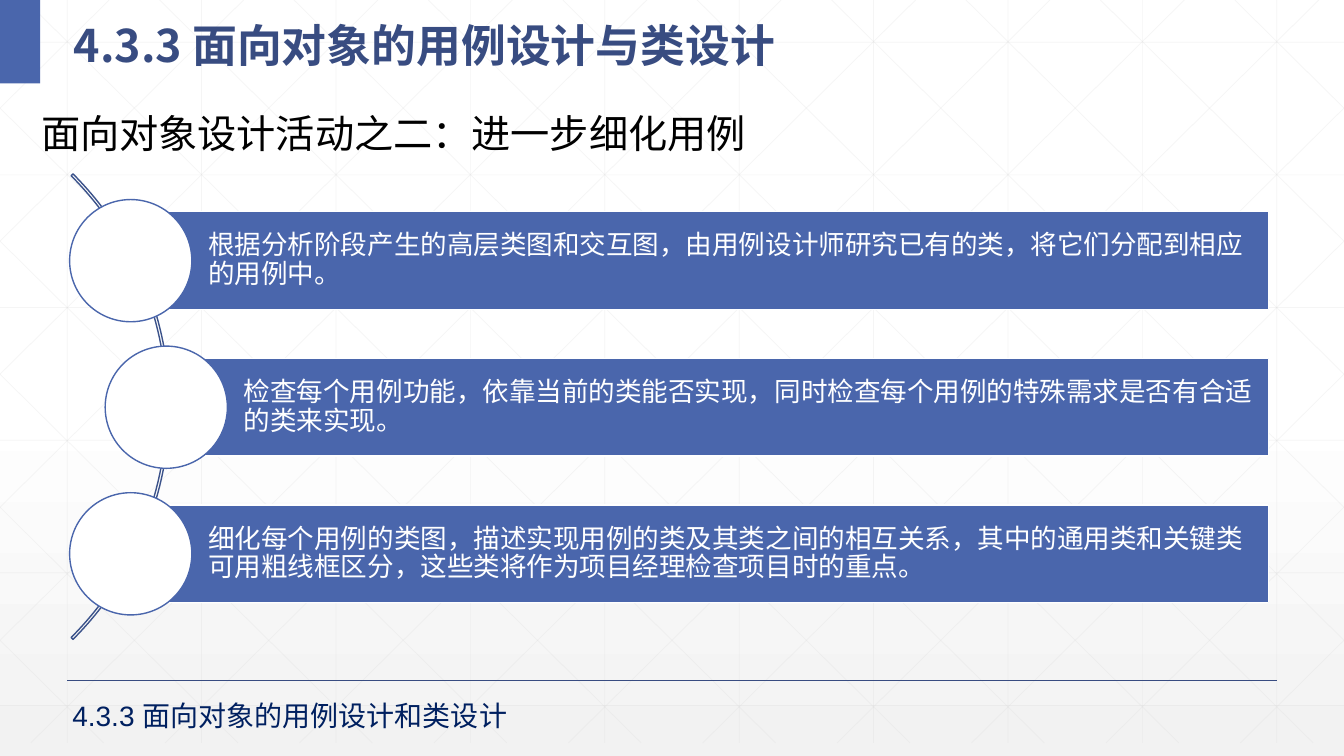
from dataclasses import dataclass

from lxml import etree
from pptx import Presentation
from pptx import util as u
from pptx.dml.color import RGBColor
from pptx.enum import lang, shapes, text
from pptx.oxml.ns import qn


@dataclass(frozen=True)
class Theme:
    blue: str = "4A66AC"
    title: str = "384C81"
    arc: str = "3B528A"
    footer: str = "002060"
    black: str = "000000"
    white: str = "FFFFFF"
    shade: str = "F2F2F2"
    grid: str = "D9D9D9"
    heading_font: str = "Noto Sans CJK SC"
    text_font: str = "Arial"
    title_size: float = 32
    subtitle_size: float = 28
    footer_size: float = 20
    step_size: float = 19


@dataclass(frozen=True)
class Area:
    left: float
    top: float
    width: float
    height: float

    def lengths(self) -> list[u.Length]:
        return [u.Pt(value) for value in (self.left, self.top, self.width, self.height)]


@dataclass(frozen=True)
class Step:
    indent: float
    words: str


THEME = Theme()
WIDTH, HEIGHT = 960, 540
GRID_BOTTOM, GRID_STEP, ROW_TOP, ROW_STEP = 530.6, 96, 30.2, 94.75
SLOPE = 0.99
FIRST_BAR_TOP, BAR_STEP, BAR_HEIGHT, BAR_RIGHT = 151.3, 104.7, 69.8, 906.3
CIRCLE = 87.3

STEPS = [
    Step(93.4, "根据分析阶段产生的高层类图和交互图，由用例设计师研究已有的类，将它们分配到相应的用例中。"),
    Step(118.8, "检查每个用例功能，依靠当前的类能否实现，同时检查每个用例的特殊需求是否有合适的类来实现。"),
    Step(93.4, "细化每个用例的类图，描述实现用例的类及其类之间的相互关系，其中的通用类和关键类可用粗线框区分，这些类将作为项目经理检查项目时的重点。"),
]


def apply(target, formats: dict) -> None:
    for name, value in formats.items():
        setattr(target, name, value)


def write(box, words: str, size: float, color: str, font: str = THEME.text_font,
          bold: bool = False, spacing: float = 1.0, **frame) -> None:
    apply(box.text_frame, frame)
    para = box.text_frame.paragraphs[0]
    apply(para, {"alignment": text.PP_ALIGN.LEFT, "line_spacing": spacing})
    span = para.add_run()
    span.text = words
    apply(span.font, {"size": u.Pt(size), "name": font, "bold": bold,
                      "language_id": lang.MSO_LANGUAGE_ID.SIMPLIFIED_CHINESE})
    span.font.color.rgb = RGBColor.from_string(color)
    latin = span.font._element.find(qn("a:latin"))
    east_asian = etree.Element(qn("a:ea"), typeface=THEME.heading_font)
    latin.addnext(east_asian)


def draw_line(page, start: tuple[float, float], end: tuple[float, float],
              color: str, weight: float, opacity: int = 100) -> None:
    line = page.shapes.add_connector(
        shapes.MSO_CONNECTOR.STRAIGHT, *[u.Pt(value) for value in (*start, *end)])
    line.line.width = u.Pt(weight)
    line.line.color.rgb = RGBColor.from_string(color)
    properties = line.element.spPr
    etree.SubElement(properties, qn("a:effectLst"))
    if opacity < 100:
        tone = properties.find(".//" + qn("a:srgbClr"))
        etree.SubElement(tone, qn("a:alpha"), val=str(opacity * 1000))


def draw_shape(page, kind: shapes.MSO_SHAPE, area: Area,
               fill: str | None = None, line: str | None = None):
    shape = page.shapes.add_shape(kind, *area.lengths())
    shape.shadow.inherit = False
    if fill:
        shape.fill.solid()
        shape.fill.fore_color.rgb = RGBColor.from_string(fill)
    else:
        shape.fill.background()
    if line:
        shape.line.width = u.Pt(1)
        shape.line.color.rgb = RGBColor.from_string(line)
    else:
        shape.line.fill.background()
    return shape


def draw_background(page) -> None:
    fill = page.background.fill
    fill.gradient()
    fill.gradient_angle = 270
    for stop, position, color in zip(fill.gradient_stops, (0.53, 1), (THEME.white, THEME.shade)):
        stop.color.rgb = RGBColor.from_string(color)
        stop.position = position


def draw_grid(page) -> None:
    pairs = []
    for column in range(10):
        x = GRID_STEP * (column + 0.5)
        pairs.append(((x, 0), (x, GRID_BOTTOM)))
    for row in range(6):
        y = ROW_TOP + ROW_STEP * row
        pairs.append(((0, y), (WIDTH, y)))
    for column in range(-5, 10):
        x = 18 + GRID_STEP * column
        left = max(x, 0)
        right = min(x + GRID_BOTTOM / SLOPE, WIDTH)
        top, bottom = (left - x) * SLOPE, (right - x) * SLOPE
        pairs.append(((left, top), (right, bottom)))
        pairs.append(((WIDTH - left, top), (WIDTH - right, bottom)))
    for start, end in pairs:
        draw_line(page, start, end, THEME.grid, 0.5, 25)


def draw_title(page) -> None:
    title = page.shapes.title
    apply(title, dict(zip(("left", "top", "width", "height"),
                          Area(45.4, 0, 613.4, 52.6).lengths())))
    write(title, "4.3.3 面向对象的用例设计与类设计", THEME.title_size, THEME.title,
          THEME.heading_font, True, 1.3, word_wrap=True,
          auto_size=text.MSO_AUTO_SIZE.NONE, vertical_anchor=text.MSO_ANCHOR.MIDDLE)
    title.element.getparent().append(title.element)


def draw_steps(page) -> None:
    arc = draw_shape(page, shapes.MSO_SHAPE.BLOCK_ARC,
                     Area(-349.2, 55.4, 470.2, 470.2), line=THEME.arc)
    for index, value in enumerate((189, 27, 0.004)):
        arc.adjustments[index] = value
    for row, step in enumerate(STEPS):
        top = FIRST_BAR_TOP + BAR_STEP * row
        bar = draw_shape(page, shapes.MSO_SHAPE.RECTANGLE,
                         Area(step.indent, top, BAR_RIGHT - step.indent, BAR_HEIGHT),
                         THEME.blue, THEME.white)
        write(bar, step.words, THEME.step_size, THEME.white, spacing=0.9,
              word_wrap=True, vertical_anchor=text.MSO_ANCHOR.MIDDLE,
              margin_left=u.Pt(55.4), margin_right=u.Pt(3.6),
              margin_top=u.Pt(3.6), margin_bottom=u.Pt(3.6))
        draw_shape(page, shapes.MSO_SHAPE.OVAL,
                   Area(step.indent - CIRCLE / 2, top + (BAR_HEIGHT - CIRCLE) / 2, CIRCLE, CIRCLE),
                   THEME.white, THEME.blue)


def draw_captions(page) -> None:
    subtitle = page.shapes.add_textbox(*Area(22.3, 74.9, 523.4, 41).lengths())
    write(subtitle, "面向对象设计活动之二：进一步细化用例", THEME.subtitle_size, THEME.black,
          word_wrap=False, auto_size=text.MSO_AUTO_SIZE.SHAPE_TO_FIT_TEXT)
    footer = page.shapes.add_textbox(*Area(44.6, 495.4, 434.9, 31.7).lengths())
    write(footer, "4.3.3 面向对象的用例设计和类设计", THEME.footer_size, THEME.footer,
          word_wrap=True, auto_size=text.MSO_AUTO_SIZE.SHAPE_TO_FIT_TEXT)


def main() -> None:
    deck = Presentation()
    apply(deck, {"slide_width": u.Pt(WIDTH), "slide_height": u.Pt(HEIGHT)})
    page = deck.slides.add_slide(deck.slide_layouts[5])
    draw_background(page)
    draw_grid(page)
    draw_line(page, (48, 486), (912, 486), THEME.title, 1)
    draw_shape(page, shapes.MSO_SHAPE.RECTANGLE, Area(0, 0, 28.8, 59.6), THEME.blue)
    draw_title(page)
    draw_steps(page)
    draw_captions(page)
    deck.save("out.pptx")


if __name__ == "__main__":
    main()
